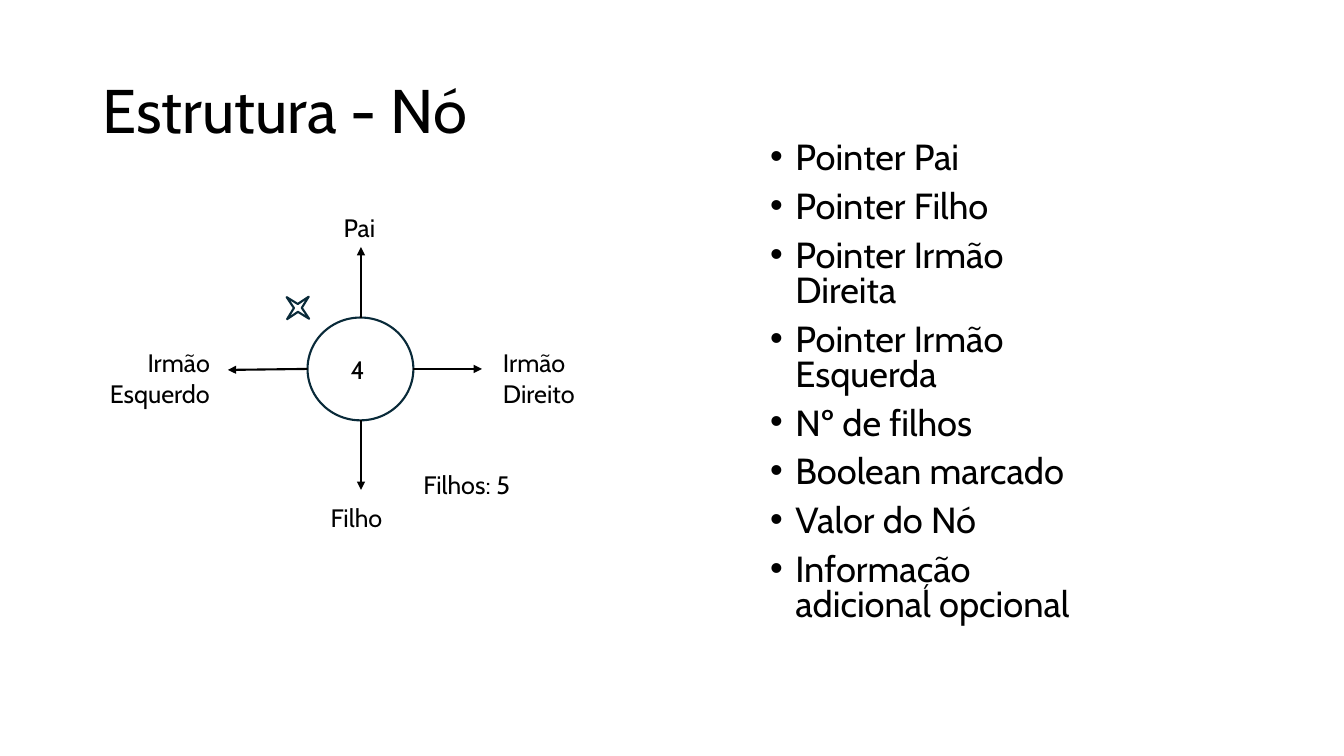
from lxml.etree import SubElement
from pptx import Presentation
from pptx.dml.color import RGBColor
from pptx.enum.shapes import MSO_CONNECTOR as Connector, MSO_SHAPE as Shape
from pptx.enum.text import MSO_ANCHOR as Anchor, PP_ALIGN as Align
from pptx.oxml.ns import qn
from pptx.util import Inches, Pt

BLACK = RGBColor(0x00, 0x00, 0x00)
NAVY = RGBColor(0x09, 0x2A, 0x39)
FONT = "Cabin"

presentation = Presentation()
presentation.slide_width = Inches(13.33)
presentation.slide_height = Inches(7.5)
slide = presentation.slides.add_slide(presentation.slide_layouts[6])


def add_text(box, lines, size, align=Align.LEFT, anchor=Anchor.TOP):
    """Add a wrapping text box with one paragraph per line."""
    frame = slide.shapes.add_textbox(*map(Inches, box)).text_frame
    frame.word_wrap = True
    frame.vertical_anchor = anchor
    for index, line in enumerate(lines):
        paragraph = frame.add_paragraph() if index else frame.paragraphs[0]
        paragraph.alignment = align
        run = paragraph.add_run()
        run.text = line
        run.font.name = FONT
        run.font.size = Pt(size)
        run.font.color.rgb = BLACK
    return frame


# Title
title = add_text((0.92, 0.4, 11.5, 1.45), ["Estrutura - Nó"], 44, anchor=Anchor.MIDDLE)
title.paragraphs[0].line_spacing = 0.9

# Bulleted list of node fields
fields = [
    "Pointer Pai",
    "Pointer Filho",
    "Pointer Irmão Direita",
    "Pointer Irmão Esquerda",
    "Nº de filhos",
    "Boolean marcado",
    "Valor do Nó",
    "Informação adicional opcional",
]
field_list = add_text((7.54, 1.37, 3.54, 5.31), fields, 25.9)
for paragraph in field_list.paragraphs:
    paragraph.line_spacing = 0.8
    paragraph.space_before = Pt(10)
    properties = paragraph._p.get_or_add_pPr()
    properties.set("marL", str(Inches(0.25)))
    properties.set("indent", str(-Inches(0.25)))
    SubElement(properties, qn("a:buFont"), typeface="Arial")
    SubElement(properties, qn("a:buChar"), char="•")

# Node circle and mark star
outlines = [
    (Shape.OVAL, (3.05, 3.15, 1.05, 1.02), 0),
    (Shape.STAR_4_POINT, (2.8, 2.9, 0.31, 0.31), 313.8),
]
for kind, box, rotation in outlines:
    shape = slide.shapes.add_shape(kind, *map(Inches, box))
    shape.rotation = rotation
    shape.shadow.inherit = False
    shape.fill.background()
    shape.line.color.rgb = NAVY
    shape.line.width = Pt(1.5)

# Pointer arrows: up, right, left, down
arrows = [
    (3.58, 3.15, 3.58, 2.45),
    (4.1, 3.66, 4.78, 3.66),
    (3.05, 3.66, 2.26, 3.67),
    (3.58, 4.17, 3.58, 4.86),
]
for ends in arrows:
    arrow = slide.shapes.add_connector(Connector.STRAIGHT, *map(Inches, ends))
    arrow.line.color.rgb = BLACK
    arrow.line.width = Pt(1.5)
    SubElement(arrow.line._get_or_add_ln(), qn("a:tailEnd"), type="triangle")
    SubElement(arrow._element.spPr, qn("a:effectLst"))

# Diagram labels
labels = [
    ("4", (3.38, 3.47, 0.39, 0.4), Align.LEFT),
    ("Pai", (3.31, 2.06, 0.92, 0.4), Align.LEFT),
    ("Filho", (3.18, 4.93, 0.8, 0.4), Align.LEFT),
    ("Irmão Direito", (4.89, 3.4, 1.09, 0.71), Align.LEFT),
    ("Irmão Esquerdo", (0.91, 3.4, 1.27, 0.71), Align.RIGHT),
    ("Filhos: 5", (4.1, 4.61, 1.19, 0.4), Align.LEFT),
]
for text, box, align in labels:
    add_text(box, [text], 18, align)

presentation.save("out.pptx")
